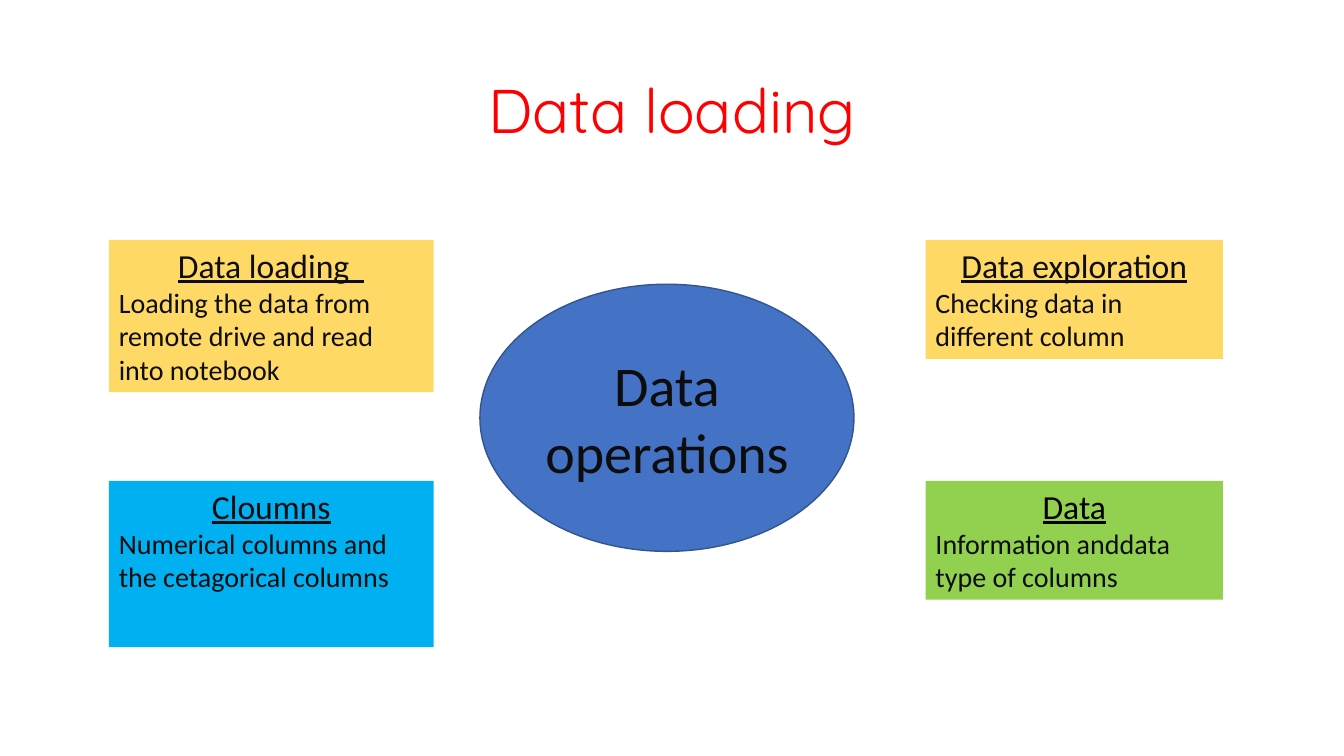
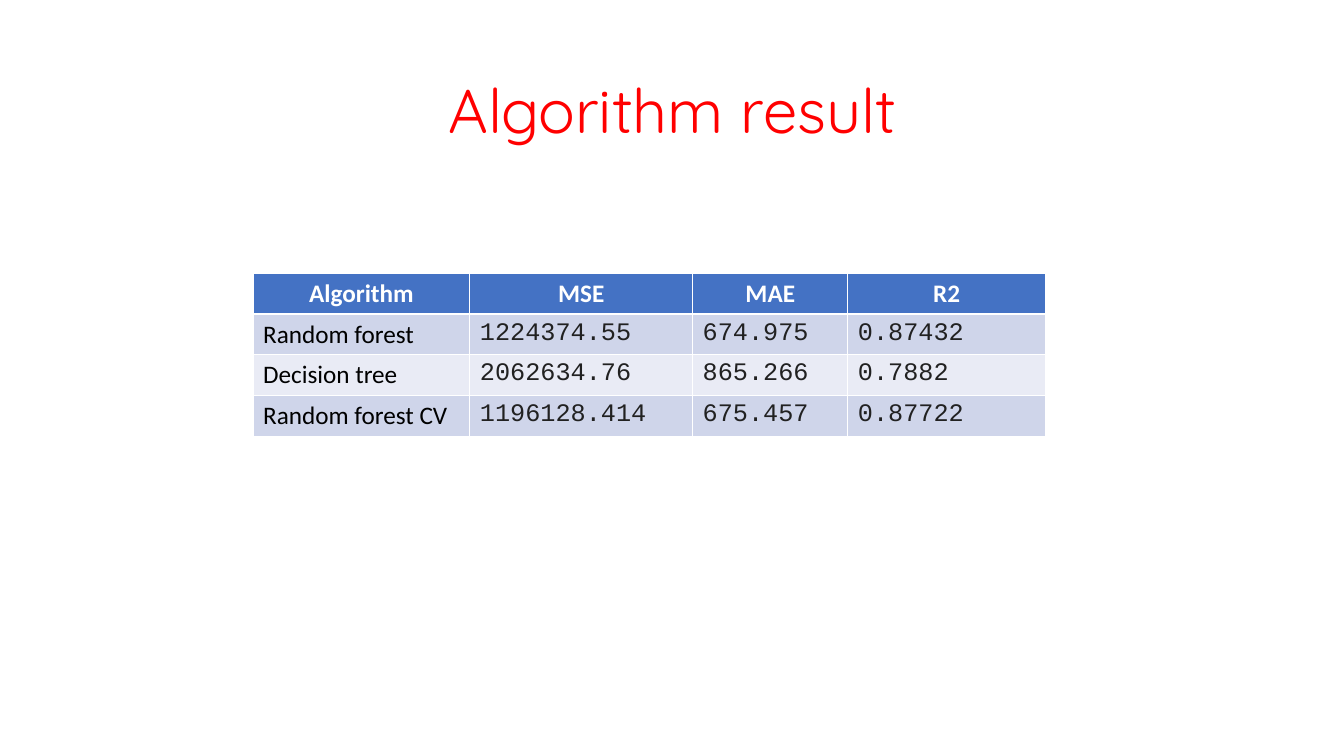
from pptx import Presentation
from pptx.dml.color import RGBColor
from pptx.enum.shapes import MSO_SHAPE
from pptx.enum.text import MSO_ANCHOR, PP_ALIGN
from pptx.util import Inches, Pt

RED = RGBColor(0xFF, 0x00, 0x00)
BLACK = RGBColor(0x00, 0x00, 0x00)
WHITE = RGBColor(0xFF, 0xFF, 0xFF)
INK = RGBColor(0x0D, 0x0D, 0x0D)
NUMBER_INK = RGBColor(0x21, 0x21, 0x21)
YELLOW = RGBColor(0xFF, 0xD9, 0x66)
SKY = RGBColor(0x00, 0xB0, 0xF0)
GREEN = RGBColor(0x92, 0xD0, 0x50)
BLUE = RGBColor(0x44, 0x72, 0xC4)
DARK_BLUE = RGBColor(0x32, 0x54, 0x91)
DARK_BAND = RGBColor(0xCF, 0xD5, 0xEA)
LIGHT_BAND = RGBColor(0xE9, 0xEB, 0xF5)

presentation = Presentation()
presentation.slide_width = Inches(13.33)
presentation.slide_height = Inches(7.5)


def format_paragraph(paragraph, size, color, font="Calibri", align=PP_ALIGN.LEFT,
                     bold=False, underline=False):
    paragraph.alignment = align
    for run in paragraph.runs:
        run.font.name = font
        run.font.size = Pt(size)
        run.font.color.rgb = color
        run.font.bold = bold
        run.font.underline = underline


def add_titled_slide(text):
    slide = presentation.slides.add_slide(presentation.slide_layouts[5])
    title = slide.shapes.title
    title.left, title.top = Inches(0.92), Inches(0.4)
    title.width, title.height = Inches(11.5), Inches(1.45)
    title.text_frame.text = text
    title.text_frame.vertical_anchor = MSO_ANCHOR.MIDDLE
    paragraph = title.text_frame.paragraphs[0]
    paragraph.line_spacing = 0.9
    format_paragraph(paragraph, 44, RED, "Quicksand", PP_ALIGN.CENTER)
    return slide


# Slide 1: four operation cards around an ellipse
slide = add_titled_slide("Data loading")

LEFT_COLUMN, RIGHT_COLUMN = (1.08, 3.22), (9.18, 2.95)
TOP_ROW, BOTTOM_ROW = 2.38, 4.77
cards = [
    (RIGHT_COLUMN, TOP_ROW, 1.18, YELLOW, INK, "Data exploration",
     "Checking data in different column"),
    (LEFT_COLUMN, TOP_ROW, 1.51, YELLOW, INK, "Data loading  ",
     "Loading the data from remote drive and read into notebook"),
    (LEFT_COLUMN, BOTTOM_ROW, 1.65, SKY, INK, "Cloumns",
     "Numerical columns and the cetagorical columns"),
    (RIGHT_COLUMN, BOTTOM_ROW, 1.18, GREEN, BLACK, "Data",
     "Information anddata type of columns"),
]
for (left, width), top, height, fill, heading_color, heading, detail in cards:
    card = slide.shapes.add_shape(MSO_SHAPE.RECTANGLE, Inches(left), Inches(top),
                                  Inches(width), Inches(height))
    card.shadow.inherit = False
    card.fill.solid()
    card.fill.fore_color.rgb = fill
    card.line.fill.background()
    frame = card.text_frame
    frame.word_wrap = True
    frame.vertical_anchor = MSO_ANCHOR.TOP
    frame.text = heading
    format_paragraph(frame.paragraphs[0], 24, heading_color,
                     align=PP_ALIGN.CENTER, underline=True)
    paragraph = frame.add_paragraph()
    paragraph.text = detail
    format_paragraph(paragraph, 20, INK)

ellipse = slide.shapes.add_shape(MSO_SHAPE.OVAL, Inches(4.76), Inches(2.82),
                                 Inches(3.71), Inches(2.65))
ellipse.shadow.inherit = False
ellipse.fill.solid()
ellipse.fill.fore_color.rgb = BLUE
ellipse.line.color.rgb = DARK_BLUE
ellipse.line.width = Pt(1)
ellipse.text_frame.word_wrap = True
ellipse.text_frame.vertical_anchor = MSO_ANCHOR.MIDDLE
ellipse.text_frame.text = "Data operations"
format_paragraph(ellipse.text_frame.paragraphs[0], 40, INK, align=PP_ALIGN.CENTER)

# Slide 2: table of results, with the white borders of the default table style
slide = add_titled_slide("Algorithm result")

results = [
    ("Algorithm", "MSE", "MAE", "R2"),
    ("Random forest", "1224374.55", "674.975", "0.87432"),
    ("Decision tree", "2062634.76", "865.266", "0.7882"),
    ("Random forest CV", "1196128.414", "675.457", "0.87722"),
]
column_widths = [2.15, 2.21, 1.54, 1.96]
table = slide.shapes.add_table(len(results), len(column_widths), Inches(2.51), Inches(2.71),
                               Inches(sum(column_widths)), Inches(1.6)).table
for column, width in zip(table.columns, column_widths):
    column.width = Inches(width)

for row_index, row in enumerate(results):
    for column_index, text in enumerate(row):
        cell = table.cell(row_index, column_index)
        cell.text_frame.text = text
        paragraph = cell.text_frame.paragraphs[0]
        cell.fill.solid()
        if row_index == 0:
            cell.fill.fore_color.rgb = BLUE
            format_paragraph(paragraph, 18, WHITE, align=PP_ALIGN.CENTER, bold=True)
            continue
        cell.fill.fore_color.rgb = DARK_BAND if row_index % 2 else LIGHT_BAND
        if column_index == 0:
            format_paragraph(paragraph, 18, BLACK)
        else:
            format_paragraph(paragraph, 18, NUMBER_INK, "Courier New")

presentation.save("out.pptx")
